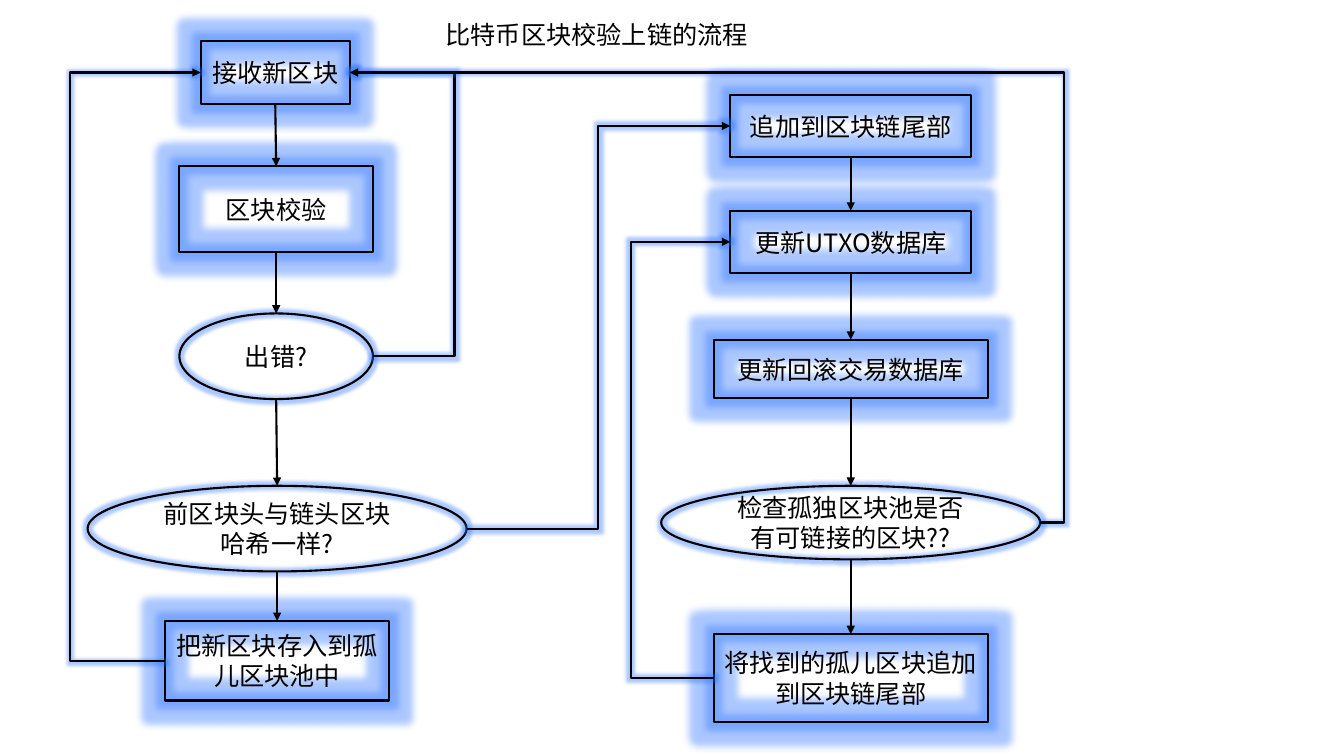
from dataclasses import dataclass

from lxml.etree import SubElement
from pptx import Presentation
from pptx.dml.color import RGBColor
from pptx.enum.shapes import MSO_CONNECTOR, MSO_SHAPE
from pptx.enum.text import MSO_ANCHOR, MSO_AUTO_SIZE, PP_ALIGN
from pptx.oxml.ns import qn
from pptx.util import Inches, Pt


@dataclass(frozen=True)
class Theme:
    ink: RGBColor = RGBColor(0, 0, 0)
    glow: str = "2E75FF"
    glow_alpha: str = "40000"
    font: str = "Noto Sans CJK SC"
    size: Pt = Pt(18)
    line: Pt = Pt(1.5)
    wide_glow: Pt = Pt(11)
    thin_glow: Pt = Pt(5)


theme = Theme()
deck = Presentation()
deck.slide_width, deck.slide_height = Inches(13.33), Inches(7.5)
column, row = deck.slide_width / 100, deck.slide_height / 100
page = deck.slides.add_slide(deck.slide_layouts[5])


def write(box, text, align):
    box.text_frame.text = text
    para = box.text_frame.paragraphs[0]
    para.alignment = align
    para.font.name, para.font.size = theme.font, theme.size
    para.font.color.rgb = theme.ink
    SubElement(para.font._element, qn("a:ea"), typeface=theme.font)


def outline(item, glow_radius):
    item.line.color.rgb, item.line.width = theme.ink, theme.line
    properties = item._element.spPr
    for old in properties.findall(qn("a:effectLst")):
        properties.remove(old)
    effects = SubElement(properties, qn("a:effectLst"))
    if glow_radius:
        glow = SubElement(effects, qn("a:glow"), rad=str(glow_radius))
        color = SubElement(glow, qn("a:srgbClr"), val=theme.glow)
        SubElement(color, qn("a:alpha"), val=theme.glow_alpha)


title = page.shapes.title
title.left, title.top = int(32.4 * column), int(1.87 * row)
title.width, title.height = int(24.23 * column), int(5.33 * row)
write(title, "比特币区块校验上链的流程", PP_ALIGN.LEFT)
title.text_frame.word_wrap = False
title.text_frame.auto_size = MSO_AUTO_SIZE.NONE
title.text_frame.vertical_anchor = MSO_ANCHOR.TOP

step, check = MSO_SHAPE.RECTANGLE, MSO_SHAPE.OVAL
right_axis = 63.3
steps = {
    "receive": (step, "接收新区块", 20.48, 9.6, 11.1, 8.27),
    "verify": (step, "区块校验", 20.55, 27.67, 14.4, 11.33),
    "error": (check, "出错?", 20.55, 47.13, 14.4, 11.33),
    "same hash": (check, "前区块头与链头区块哈希一样?", 20.62, 69.93, 28.2, 11.33),
    "store orphan": (step, "把新区块存入到孤儿区块池中", 20.62, 87.4, 16.65, 10.53),
    "append": (step, "追加到区块链尾部", right_axis, 16.67, 17.93, 8.27),
    "update utxo": (step, "更新UTXO数据库", right_axis, 32, 17.93, 8.27),
    "update rollback": (step, "更新回滚交易数据库", right_axis, 48.8, 20.4, 7.73),
    "find orphan": (check, "检查孤独区块池是否有可链接的区块??", right_axis, 69.13, 28.2, 9.73),
    "append orphan": (step, "将找到的孤儿区块追加到区块链尾部", right_axis, 89.67, 20.4, 11.6),
}
boxes = {}
for name, (kind, text, center, middle, width, height) in steps.items():
    box = page.shapes.add_shape(
        kind,
        int((center - width / 2) * column), int((middle - height / 2) * row),
        int(width * column), int(height * row),
    )
    box.fill.background()
    outline(box, theme.wide_glow if kind == step else theme.thin_glow)
    write(box, text, PP_ALIGN.CENTER)
    box.text_frame.word_wrap = True
    box.text_frame.vertical_anchor = MSO_ANCHOR.MIDDLE
    boxes[name] = box

links = [
    ("receive", "bottom", "verify", "top", None),
    ("verify", "bottom", "error", "top", None),
    ("error", "bottom", "same hash", "top", None),
    ("same hash", "bottom", "store orphan", "top", None),
    ("append", "bottom", "update utxo", "top", None),
    ("update utxo", "bottom", "update rollback", "top", None),
    ("update rollback", "bottom", "find orphan", "top", None),
    ("find orphan", "bottom", "append orphan", "top", None),
    ("error", "right", "receive", "right", 33.83),
    ("same hash", "right", "append", "left", 44.48),
    ("store orphan", "left", "receive", "left", 5.18),
    ("append orphan", "left", "update utxo", "left", 46.95),
    ("find orphan", "right", "receive", "right", 79.2),
]
sides = {"top": (0.5, 0), "left": (0, 0.5), "bottom": (0.5, 1), "right": (1, 0.5)}
for start, start_side, end, end_side, bend in links:
    points, glue = [], []
    for name, side in ((start, start_side), (end, end_side)):
        box, (across, down) = boxes[name], sides[side]
        points += [int(box.left + across * box.width), int(box.top + down * box.height)]
        sites_per_side = 2 if steps[name][0] == check else 1
        glue.append((box.shape_id, list(sides).index(side) * sites_per_side))
    route = MSO_CONNECTOR.ELBOW if bend else MSO_CONNECTOR.STRAIGHT
    arrow = page.shapes.add_connector(route, *points)
    outline(arrow, theme.thin_glow if bend else None)
    SubElement(arrow.line._get_or_add_ln(), qn("a:tailEnd"), type="triangle")
    if bend:
        share = (bend * column - points[0]) / (points[2] - points[0])
        guides = arrow._element.spPr.find(qn("a:prstGeom")).find(qn("a:avLst"))
        SubElement(guides, qn("a:gd"), name="adj1", fmla=f"val {round(share * 100000)}")
    ends = arrow._element.nvCxnSpPr.cNvCxnSpPr
    for tag, (shape_id, site) in zip(("a:stCxn", "a:endCxn"), glue):
        SubElement(ends, qn(tag), id=str(shape_id), idx=str(site))

deck.save("out.pptx")
